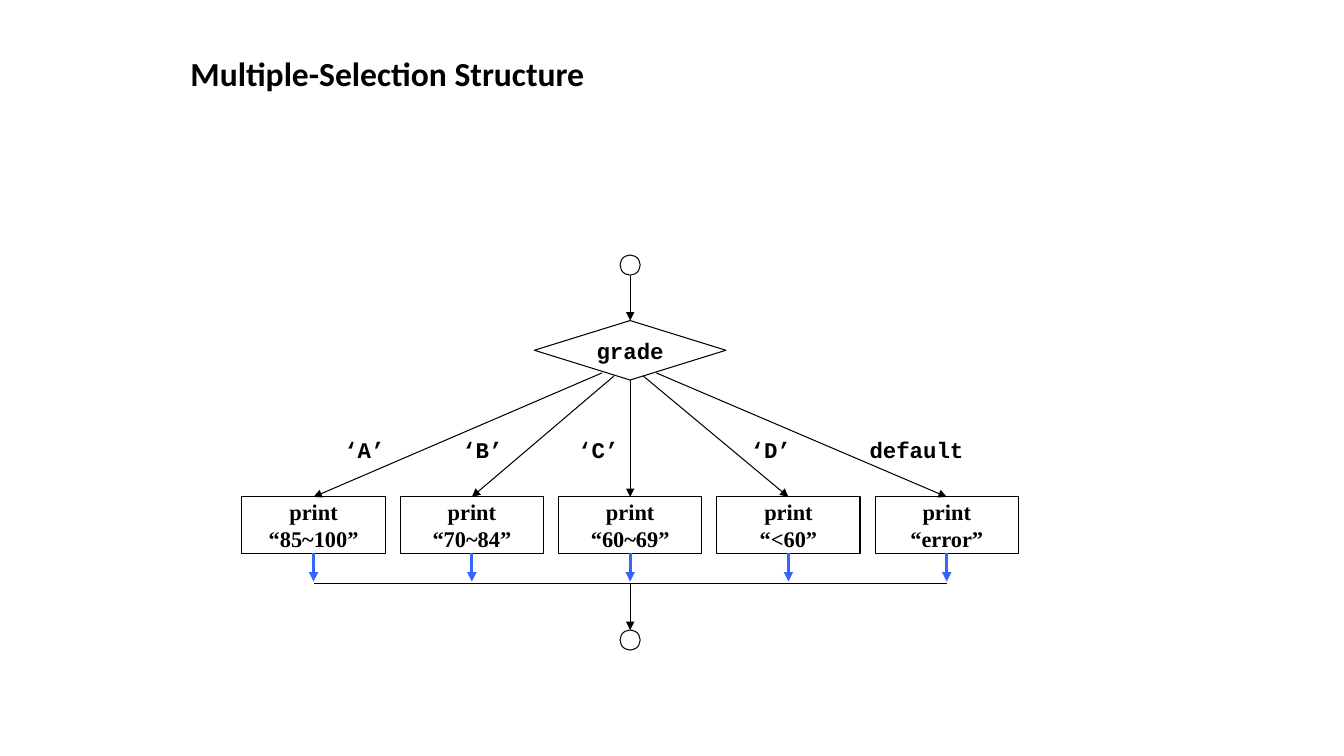
import pptx
import pptx.dml.color
import pptx.enum.shapes
import pptx.enum.text
import pptx.oxml
import pptx.oxml.ns
import pptx.util

SHAPE = pptx.enum.shapes.MSO_SHAPE
ANCHOR = pptx.enum.text.MSO_ANCHOR
ALIGN = pptx.enum.text.PP_ALIGN
TOP, BOTTOM = 0, 2
BLACK, WHITE, BLUE = "000000", "FFFFFF", "3366FF"


def px(n):
    """Turn px (100 to the inch) into EMU."""
    return pptx.util.Emu(n * 9144)


def rgb(color):
    return pptx.dml.color.RGBColor.from_string(color)


def write(sp, text, font="Courier New", size=16, align=ALIGN.CENTER,
          anchor=ANCHOR.MIDDLE, wrap=False, inset=0, spacing=None):
    """Fill a shape with bold text, one paragraph per line."""
    tf = sp.text_frame
    tf.word_wrap = wrap
    tf.vertical_anchor = anchor
    tf.margin_left = tf.margin_right = px(inset)
    tf.margin_top = tf.margin_bottom = px(inset // 2)
    for i, line in enumerate(text.split("\n")):
        p = tf.add_paragraph() if i else tf.paragraphs[0]
        p.alignment = align
        if spacing:
            p.line_spacing = spacing
        r = p.add_run()
        r.text = line
        r.font.name = font
        r.font.size = pptx.util.Pt(size)
        r.font.bold = True
        r.font.color.rgb = rgb(BLACK)


class FlowChart:
    """Draws flowchart elements on one slide in a shared line style."""

    def __init__(self, slide, color=BLACK, weight=0.75):
        self.slide, self.color, self.weight = slide, color, weight

    def node(self, kind, x, y, w, h, text="", **style):
        sp = self.slide.shapes.add_shape(kind, px(x), px(y), px(w), px(h))
        sp.shadow.inherit = False
        sp.fill.background()
        sp.line.color.rgb = rgb(self.color)
        sp.line.width = pptx.util.Pt(self.weight)
        if text:
            write(sp, text, **style)
        return sp

    def label(self, x, y, w, h, text, fill=None, **style):
        sp = self.slide.shapes.add_textbox(px(x), px(y), px(w), px(h))
        if fill:
            sp.fill.solid()
            sp.fill.fore_color.rgb = rgb(fill)
        write(sp, text, **style)

    def line(self, x1, y1, x2, y2, source=None, target=None, arrow=True,
             color=None, weight=None):
        """Draw a line, joined to the source's bottom and the target's top if given."""
        c = self.slide.shapes.add_connector(
            pptx.enum.shapes.MSO_CONNECTOR.STRAIGHT, px(x1), px(y1), px(x2), px(y2))
        c.line.color.rgb = rgb(color or self.color)
        c.line.width = pptx.util.Pt(weight or self.weight)
        if arrow:
            c.line._get_or_add_ln().append(pptx.oxml.parse_xml(
                f'<a:tailEnd {pptx.oxml.ns.nsdecls("a")} type="triangle"/>'))
        c._element.spPr.append(pptx.oxml.parse_xml(
            f'<a:effectLst {pptx.oxml.ns.nsdecls("a")}/>'))
        if source is not None:
            c.begin_connect(source, BOTTOM)
        if target is not None:
            c.end_connect(target, TOP)


def main():
    prs = pptx.Presentation()
    prs.slide_width, prs.slide_height = px(1333), px(750)
    chart = FlowChart(prs.slides.add_slide(prs.slide_layouts[6]))

    chart.label(179, 52, 975, 95, "Multiple-Selection Structure", fill=WHITE,
                font="Calibri", size=24, align=ALIGN.LEFT, anchor=ANCHOR.TOP,
                wrap=True, inset=10, spacing=0.9)

    mid, box_top, box_w, box_h, pitch, merge_y = 625, 493, 142, 56, 157, 579
    chart.node(SHAPE.OVAL, mid - 10, 253, 20, 20)
    end = chart.node(SHAPE.OVAL, mid - 10, 625, 20, 20)
    grade = chart.node(SHAPE.FLOWCHART_DECISION, mid - 95, 318, 190, 59, "grade")
    chart.line(mid, 274, mid, 318, target=grade)

    # case label, label left, label width, printed text, branch start
    cases = [
        ("‘A’", 338, 47, "“85~100”", (597, 370)),
        ("‘B’", 455, 47, "“70~84”", (609, 373)),
        ("‘C’", 570, 47, "“60~69”", None),
        ("‘D’", 741, 47, "“<60”", (638, 373)),
        ("default", 854, 110, "“error”", (651, 370)),
    ]
    for i, (case, label_x, label_w, output, start) in enumerate(cases):
        center = mid + (i - 2) * pitch
        box = chart.node(SHAPE.RECTANGLE, center - box_w // 2, box_top, box_w, box_h,
                         f"print\n{output}", font="Times New Roman")
        x, y = start or (mid, 377)
        chart.line(x, y, center, box_top, source=None if start else grade, target=box)
        chart.label(label_x, 432, label_w, 27, case)
        chart.line(center, box_top + box_h, center, merge_y - 2, source=box,
                   color=BLUE, weight=2.25)

    chart.line(mid + 2 * pitch, merge_y, mid - 2 * pitch, merge_y, arrow=False)
    chart.line(mid, merge_y, mid, 625, target=end)
    prs.save("out.pptx")


if __name__ == "__main__":
    main()
